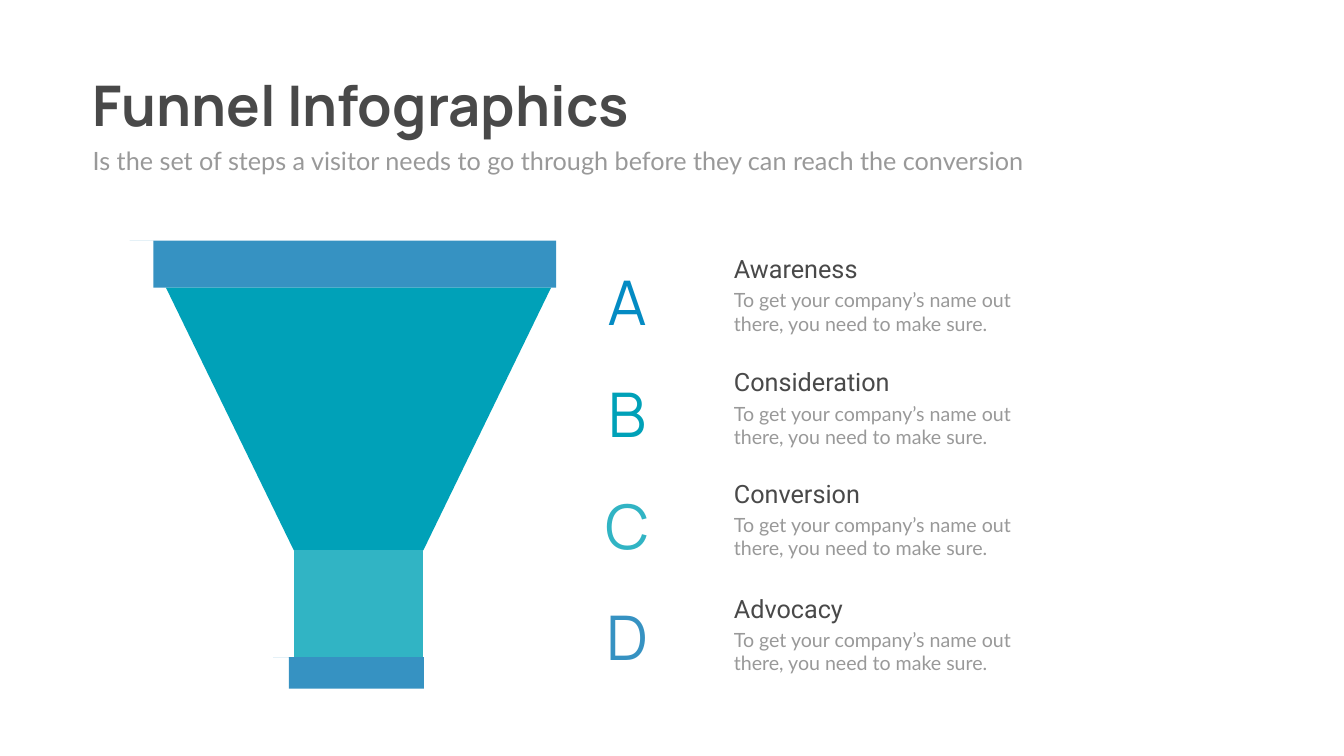
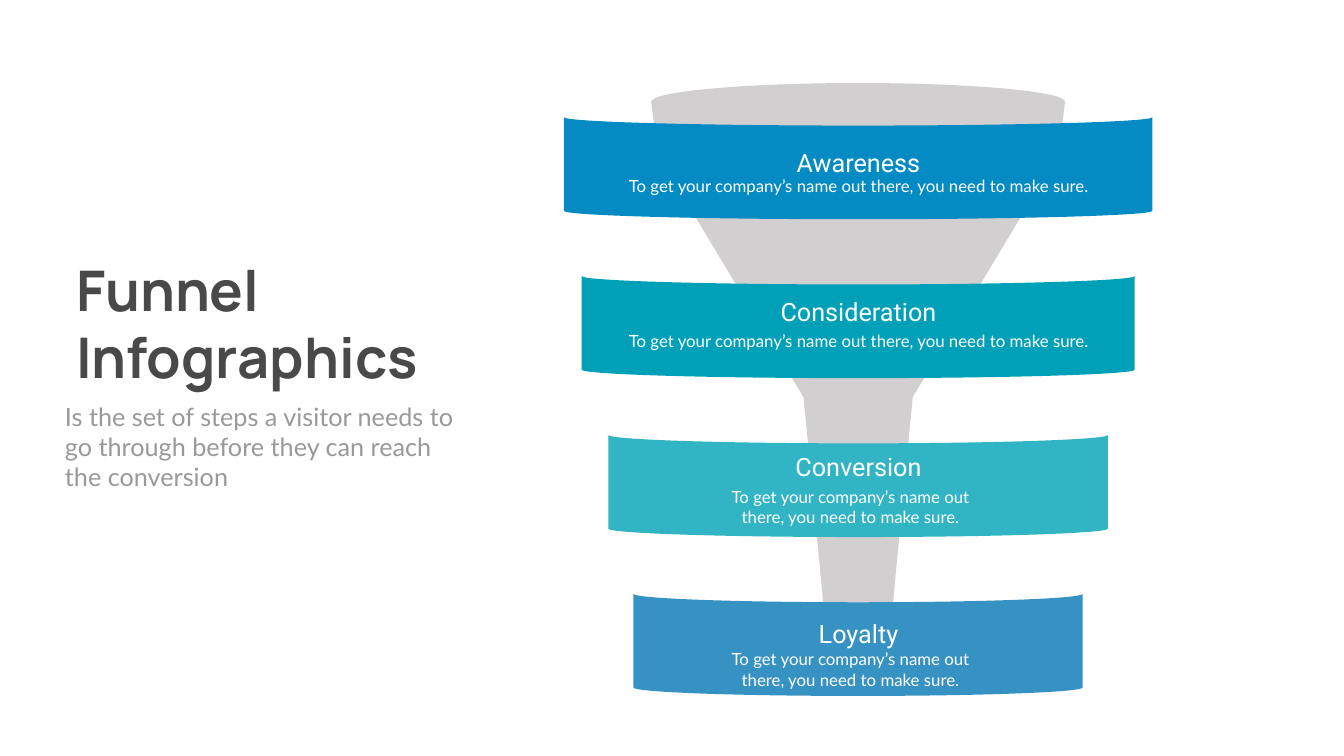
from dataclasses import dataclass

from lxml.etree import SubElement
from pptx import Presentation
from pptx.dml.color import RGBColor
from pptx.enum.text import MSO_AUTO_SIZE as Fit, PP_ALIGN as Align
from pptx.oxml.ns import qn
from pptx.slide import Slide
from pptx.util import Pt

Dots = list[tuple[float, float]]

# Colours
BLUE = RGBColor(0x04, 0x8B, 0xC3)
TEAL = RGBColor(0x00, 0xA1, 0xB8)
AQUA = RGBColor(0x31, 0xB4, 0xC4)
STEEL = RGBColor(0x36, 0x92, 0xC2)
DARK = RGBColor(0x49, 0x49, 0x49)
GREY = RGBColor(0x99, 0x99, 0x99)
SILVER = RGBColor(0xD1, 0xCF, 0xD0)
WHITE = RGBColor(0xFF, 0xFF, 0xFF)

# Shared wording
LEAD = "Is the set of steps a visitor needs to go through before they can reach the conversion"
NOTE = "To get your company’s name out there, you need to make sure."

AXIS = 1225.6  # centre line of the second funnel
BEND = 0.55  # handle length of a quarter ellipse


@dataclass
class Step:
    letter: str
    name: str
    color: RGBColor
    name_y: float
    note_y: float


@dataclass
class Band:
    name: str
    color: RGBColor
    half: float
    name_y: float
    name_w: float
    note_y: float
    note_x: float
    note_w: float
    note_h: float


STEPS = [
    Step("A", "Awareness", BLUE, 358.6, 408.2),
    Step("B", "Consideration", TEAL, 519.1, 570.2),
    Step("C", "Conversion", AQUA, 680.4, 728.6),
    Step("D", "Advocacy", STEEL, 843.8, 892.8),
]

BANDS = [
    Band("Awareness", BLUE, 420.4, 206.6, 711.4, 247.7, 856.8, 738.7, 36),
    Band("Consideration", TEAL, 394.8, 419.8, 711.4, 468.7, 856.8, 738.7, 36),
    Band("Conversion", AQUA, 356.8, 640.8, 371.5, 691.2, 1005.8, 417.6, 65.5),
    Band("Loyalty", STEEL, 320.8, 879.1, 156.2, 923.8, 1005.8, 417.6, 65.5),
]


def write(slide: Slide, text: str, x: float, y: float, w: float, h: float, *,
          size: float, font: str, color: RGBColor, bold: bool = False,
          align: Align = Align.LEFT, wrap: bool = True) -> None:
    """Add a text box; each line of text is a paragraph."""
    frame = slide.shapes.add_textbox(Pt(x), Pt(y), Pt(w), Pt(h)).text_frame
    frame.word_wrap = wrap
    frame.auto_size = Fit.SHAPE_TO_FIT_TEXT
    frame.text = text
    for para in frame.paragraphs:
        para.alignment = align
        face = para.runs[0].font
        face.size, face.name, face.bold = Pt(size), font, bold
        face.color.rgb = color


def draw(slide: Slide, parts: list[Dots], color: RGBColor) -> None:
    """Fill a closed outline: one dot makes a line, three make a curve."""
    ends = [(Pt(x), Pt(y)) for part in parts for x, y in part]
    pen = slide.shapes.build_freeform(*ends[0])
    pen.add_line_segments(ends[1:], close=True)
    shape = pen.convert_to_shape()
    shape.shadow.inherit = False
    shape.fill.solid()
    shape.fill.fore_color.rgb = color
    shape.line.fill.background()

    # Join the three lines of each curve into one Bézier segment
    lines = iter(list(shape.element.iter(qn("a:lnTo"))))
    for part in parts[1:]:
        group = [next(lines) for _ in part]
        if len(group) == 3:
            trail = group[0].getparent()
            curve = SubElement(trail, qn("a:cubicBezTo"))
            trail.replace(group[0], curve)
            curve.extend([line[0] for line in group])
            for line in group[1:]:
                trail.remove(line)


def line(*dots: tuple[float, float]) -> list[Dots]:
    """Straight parts of an outline."""
    return [[dot] for dot in dots]


def arc(y: float, half: float, sag: float, way: int = 1) -> list[Dots]:
    """Half an ellipse about the axis; way 1 runs rightward, -1 leftward."""
    run, low = way * half, y + sag
    mid = y + BEND * sag
    return [
        [(AXIS - run, y)],
        [(AXIS - run, mid), (AXIS - BEND * run, low), (AXIS, low)],
        [(AXIS + BEND * run, low), (AXIS + run, mid), (AXIS + run, y)],
    ]


def lip(slide: Slide, spur: float, left: float, right: float,
        top: float, base: float) -> None:
    """Rim of the flat funnel, with a hairline spur at the top left."""
    draw(slide, line((right, top), (right, base), (left, base), (left, top),
                     (spur, top)), STEEL)


def head(slide: Slide, text: str, x: float, y: float, w: float, h: float,
         lead_x: float, lead_y: float, lead_w: float, lead_h: float) -> None:
    """Title with its lead line."""
    write(slide, text, x, y, w, h, size=80, font="Manrope", color=DARK,
          bold=True, wrap=False)
    write(slide, LEAD, lead_x, lead_y, lead_w, lead_h, size=36, font="Lato",
          color=GREY)


def flat(slide: Slide) -> None:
    """Flat funnel with a lettered list."""
    head(slide, "Funnel Infographics", 125.3, 97.2, 843.1, 104.4,
         125.3, 204.5, 1499, 51.1)

    # Funnel: rim, cone, neck, foot
    lip(slide, 185.2, 219, 794.4, 343.8, 411)
    draw(slide, line((237, 411), (787, 411), (604.6, 786.2),
                     (419.6, 786.2)), TEAL)
    draw(slide, line((419.6, 786.2), (604.6, 786.2), (604.6, 938.5),
                     (419.6, 938.5)), AQUA)
    lip(slide, 390.2, 412.6, 605.3, 938.7, 983.7)

    # List
    for i, step in enumerate(STEPS):
        write(slide, step.letter, 827.3, 373.7 + 159.6 * i, 136.8, 113.8,
              size=88, font="Manrope", color=step.color, align=Align.CENTER)
        write(slide, step.name, 1041.1, step.name_y, 396.7, 51.1,
              size=36, font="Roboto", color=DARK)
        write(slide, NOTE, 1041.1, step.note_y, 424.8, 74.9,
              size=28, font="Lato", color=GREY)


def curved(slide: Slide) -> None:
    """Grey funnel crossed by four curved bands."""
    # Funnel: the right side mirrors the left
    side = [(286, 220.3), (78, 567.4), (42.8, 933.8)]
    draw(slide, arc(145.4, 295.6, -26.8)
         + line(*[(AXIS + dx, y) for dx, y in side])
         + arc(976.3, 42.8, 3.6, -1)
         + line(*[(AXIS - dx, y) for dx, y in side[::-1]]), SILVER)

    # Bands and their text
    for i, band in enumerate(BANDS):
        top = 167.4 + 227 * i
        draw(slide, arc(top, band.half, 12)
             + arc(top + 133.8, band.half, 12, -1), band.color)
        write(slide, band.name, AXIS + 0.5 - band.name_w / 2, band.name_y,
              band.name_w, 51.1, size=36, font="Roboto", color=WHITE,
              align=Align.CENTER)
        write(slide, NOTE, band.note_x, band.note_y, band.note_w, band.note_h,
              size=24, font="Lato", color=WHITE, align=Align.CENTER)

    head(slide, "Funnel\nInfographics", 101.5, 361.4, 545.8, 200.9,
         85.7, 569.5, 570.2, 138.2)


def main() -> None:
    deck = Presentation()
    deck.slide_width, deck.slide_height = Pt(1919.52), Pt(1080)
    for build in (flat, curved):
        build(deck.slides.add_slide(deck.slide_layouts[6]))
    deck.save("out.pptx")


if __name__ == "__main__":
    main()
